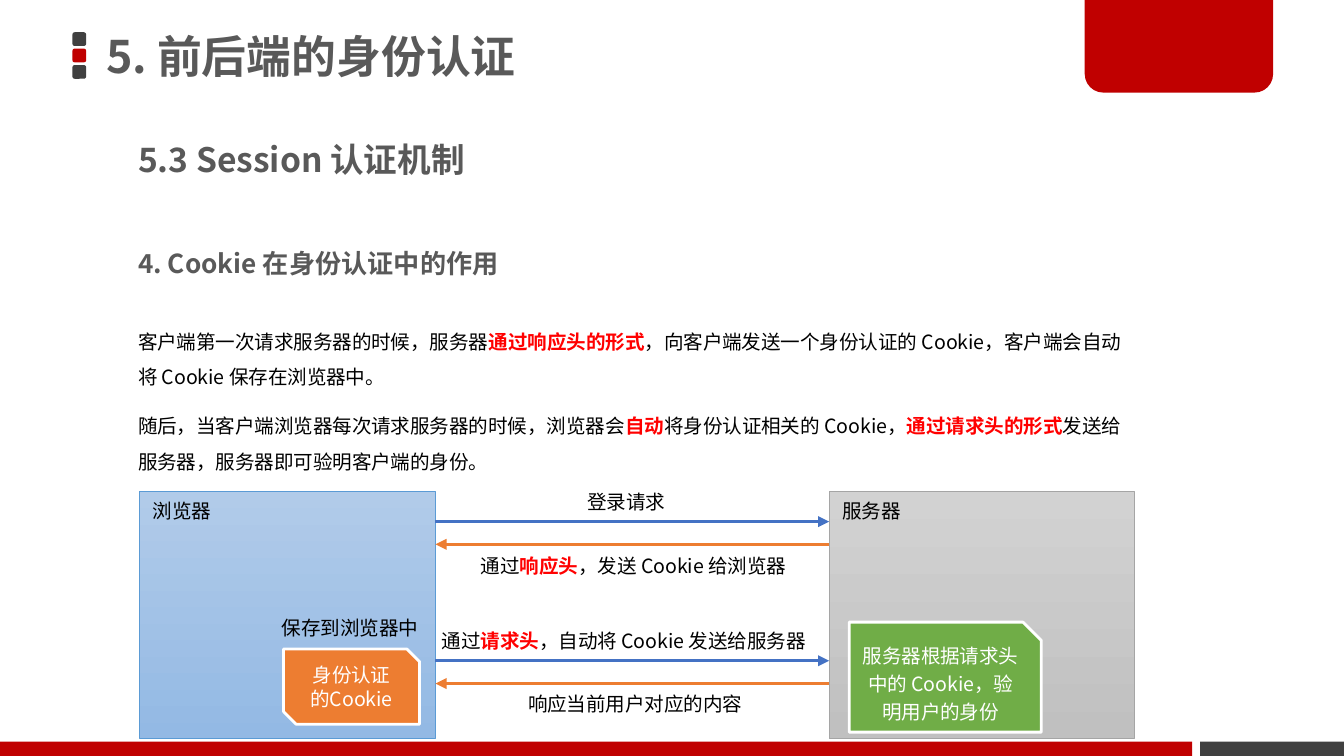
from dataclasses import dataclass

from lxml import etree
from pptx import Presentation
from pptx.dml.color import RGBColor
from pptx.enum.shapes import MSO_CONNECTOR, MSO_SHAPE
from pptx.enum.text import MSO_ANCHOR, MSO_AUTO_SIZE, PP_ALIGN
from pptx.oxml.ns import qn
from pptx.util import Cm, Pt

RECT = MSO_SHAPE.RECTANGLE
ROUND = MSO_SHAPE.ROUNDED_RECTANGLE
TAB = MSO_SHAPE.ROUND_2_SAME_RECTANGLE
SNIP = MSO_SHAPE.SNIP_1_RECTANGLE
SNIPS = MSO_SHAPE.SNIP_2_DIAG_RECTANGLE
STRAIGHT = MSO_CONNECTOR.STRAIGHT
TOP, MIDDLE = MSO_ANCHOR.TOP, MSO_ANCHOR.MIDDLE
LEFT, CENTER = PP_ALIGN.LEFT, PP_ALIGN.CENTER
FIXED, GROW = MSO_AUTO_SIZE.NONE, MSO_AUTO_SIZE.SHAPE_TO_FIT_TEXT


@dataclass(frozen=True)
class Theme:
    font: str = "Noto Sans CJK SC"
    title: float = 24
    head: float = 18
    sub: float = 14
    body: float = 10.5
    ink: str = "000000"
    gray: str = "595959"
    dark: str = "404040"
    red: str = "C00000"
    mark: str = "FF0000"
    white: str = "FFFFFF"
    blue: str = "4472C4"
    orange: str = "ED7D31"
    green: str = "70AD47"
    client: tuple = ("B1CBE9", "93B9E4", "5B9BD5")
    server: tuple = ("D2D2D2", "C0C0C0", "A5A5A5")


def rgb(code):
    return RGBColor.from_string(code)


class Deck:
    def __init__(self, theme):
        self.theme = theme
        self.file = Presentation()
        self.file.slide_width, self.file.slide_height = Cm(25.4), Cm(14.29)
        self.slide = self.file.slides.add_slide(self.file.slide_layouts[5])

    def fill_text(self, frame, lines, size=None, color=None, bold=False,
                  align=LEFT, anchor=TOP, space=None, before=0, wrap=True):
        theme = self.theme
        frame.word_wrap = wrap
        frame.auto_size = FIXED if wrap else GROW
        frame.vertical_anchor = anchor
        frame.text = "\n".join(lines).replace("*", "")
        for para, line in zip(frame.paragraphs, lines):
            para.text = ""
            para.alignment = align
            para.line_spacing = space
            para.space_before = Pt(before)
            for i, part in enumerate(line.split("*")):
                run = para.add_run()
                run.text = part
                font = run.font
                font.name, font.size = theme.font, Pt(size or theme.body)
                font.bold = bold or i % 2 == 1
                font.color.rgb = rgb(theme.mark if i % 2 else color or theme.ink)
                east = etree.SubElement(font._element, qn("a:ea"))
                east.set("typeface", theme.font)

    def title(self, line, box):
        shape = self.slide.shapes.title
        shape.left, shape.top, shape.width, shape.height = map(Cm, box)
        self.fill_text(shape.text_frame, [line], self.theme.title,
                       self.theme.gray, True, anchor=MIDDLE, space=0.9)

    def text(self, lines, box, **style):
        shape = self.slide.shapes.add_textbox(*map(Cm, box))
        self.fill_text(shape.text_frame, lines, **style)

    def shape(self, kind, box, fill, edge=None, width=0.5):
        shape = self.slide.shapes.add_shape(kind, *map(Cm, box))
        shape.shadow.inherit = False
        if isinstance(fill, str):
            shape.fill.solid()
            shape.fill.fore_color.rgb = rgb(fill)
        else:
            shape.fill.gradient()
            shape.fill.gradient_angle = 270
            for stop, code in zip(shape.fill.gradient_stops, fill):
                stop.color.rgb = rgb(code)
        if edge:
            shape.line.color.rgb = rgb(edge)
            shape.line.width = Pt(width)
        else:
            shape.line.fill.background()
        return shape

    def panel(self, name, box, tones):
        shape = self.shape(RECT, box, tones[:2], tones[2])
        self.fill_text(shape.text_frame, [name])

    def card(self, kind, line, box, fill, inset=0.25, space=None):
        shape = self.shape(kind, box, fill, self.theme.white, 1.5)
        frame = shape.text_frame
        frame.margin_left = frame.margin_right = Cm(inset)
        self.fill_text(frame, [line], color=self.theme.white, align=CENTER,
                       anchor=MIDDLE, space=space)

    def arrow(self, start, end, y, color):
        line = self.slide.shapes.add_connector(
            STRAIGHT, Cm(start), Cm(y), Cm(end), Cm(y))
        line.line.color.rgb = rgb(color)
        line.line.width = Pt(1.5)
        props = line._element.spPr
        tail = etree.SubElement(props.find(qn("a:ln")), qn("a:tailEnd"))
        tail.set("type", "triangle")
        etree.SubElement(props, qn("a:effectLst"))


theme = Theme()
deck = Deck(theme)

for i, color in enumerate((theme.dark, theme.red, theme.dark)):
    deck.shape(ROUND, (1.37, 0.61 + 0.31 * i, 0.26, 0.26), color)
deck.shape(RECT, (22.68, 14.02, 2.72, 0.27), theme.dark)
deck.shape(RECT, (0, 14.02, 22.53, 0.27), theme.red)
tab = deck.shape(TAB, (20.5, 0, 3.56, 1.75), theme.red)
tab.rotation = 180
tab.adjustments[0] = 0.2

deck.title("5. 前后端的身份认证", (1.75, 0, 18.72, 2.21))
heads = (
    ("5.3 Session 认证机制", (2.36, 2.59, 18.11, 1.5), theme.head),
    ("4. Cookie 在身份认证中的作用", (2.36, 4.62, 18.03, 0.79), theme.sub),
)
for line, box, size in heads:
    deck.text([line], box, size=size, color=theme.gray, bold=True,
              space=0.9, before=7.5)
deck.text([
    "客户端第一次请求服务器的时候，服务器*通过响应头的形式*，"
    "向客户端发送一个身份认证的 Cookie，客户端会自动将 Cookie 保存在浏览器中。",
    "随后，当客户端浏览器每次请求服务器的时候，浏览器会*自动*"
    "将身份认证相关的 Cookie，*通过请求头的形式*"
    "发送给服务器，服务器即可验明客户端的身份。",
], (2.36, 5.89, 19.43, 3.4), space=1.5, before=7.5)

near, far = 8.23, 15.67
deck.panel("浏览器", (2.64, 9.3, near - 2.64, 4.67), theme.client)
deck.panel("服务器", (far, 9.3, 5.77, 4.67), theme.server)

steps = (
    ("登录请求", (10.85, 9.14, 2.01, 0.71), 9.86),
    ("通过*响应头*，发送 Cookie 给浏览器", (8.84, 10.34, 6.45, 0.71), 10.29),
    ("通过*请求头*，自动将 Cookie 发送给服务器", (8.1, 11.76, 7.59, 0.71), 12.49),
    ("响应当前用户对应的内容", (9.73, 12.95, 4.62, 0.71), 12.92),
)
for i, (line, box, y) in enumerate(steps):
    if i % 2:
        deck.arrow(far, near, y, theme.orange)
    else:
        deck.arrow(near, far, y, theme.blue)
    deck.text([line], box, wrap=False)

deck.card(SNIPS, "身份认证的Cookie", (5.36, 12.27, 2.57, 1.42), theme.orange)
deck.card(SNIP, "服务器根据请求头中的 Cookie，验明用户的身份",
          (16.05, 11.76, 3.63, 2.08), theme.green, 0.2, Pt(15))
deck.text(["保存到浏览器中"], (5.08, 11.51, 3.12, 0.71), wrap=False)

deck.file.save("out.pptx")
